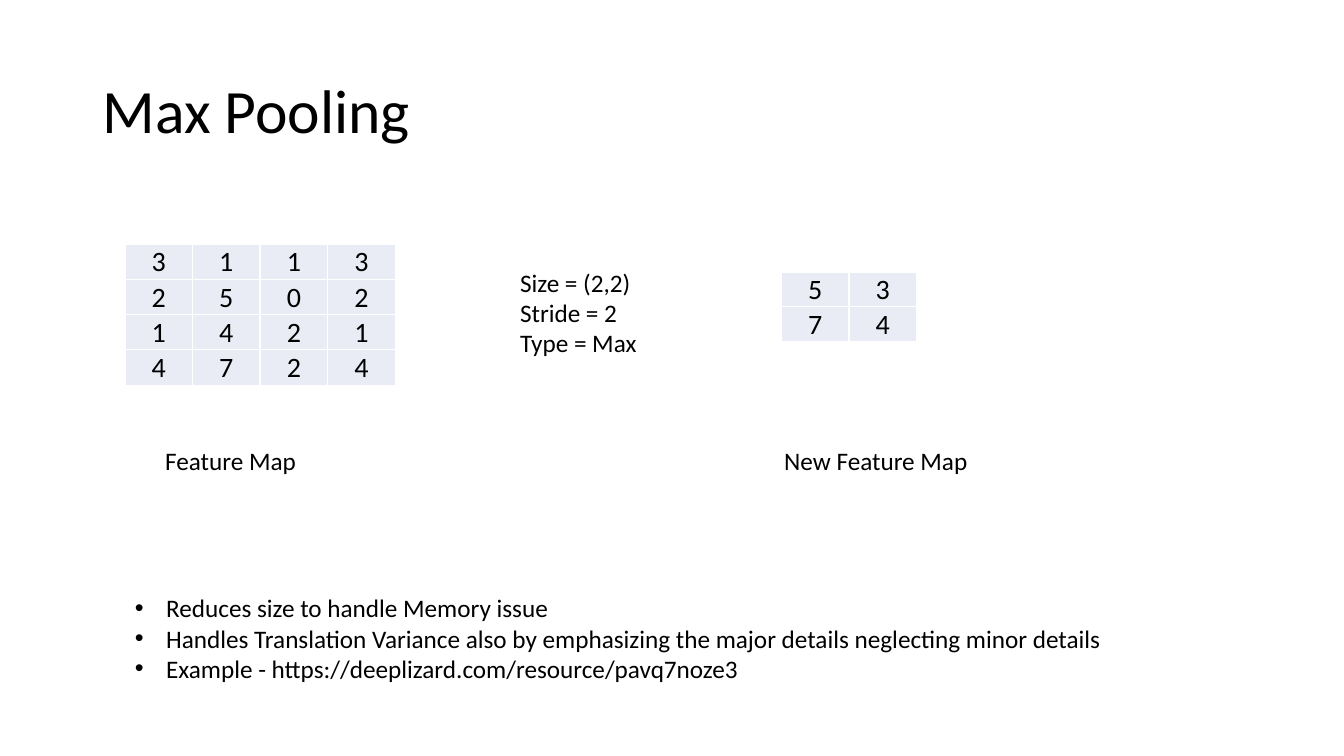
from lxml.etree import SubElement
from pptx import Presentation
from pptx.dml.color import RGBColor
from pptx.enum.text import MSO_ANCHOR, MSO_AUTO_SIZE, PP_ALIGN
from pptx.oxml import parse_xml
from pptx.oxml.ns import nsdecls, qn
from pptx.util import Inches, Pt

FONT = "Calibri"
BLACK = "000000"
WHITE = "FFFFFF"
PALE = "E9EBF5"
CELL = 0.67


def color(value):
    return RGBColor.from_string(value)


def write(frame, text, size=18, align=None, anchor=MSO_ANCHOR.TOP,
          spacing=None, bullet=None, indent=0.31):
    frame.word_wrap = True
    frame.vertical_anchor = anchor
    for i, line in enumerate(text.split("\n")):
        para = frame.paragraphs[0] if i == 0 else frame.add_paragraph()
        if align is not None:
            para.alignment = align
        if spacing:
            para.line_spacing = spacing
        if bullet:
            props = para._p.get_or_add_pPr()
            props.set("marL", str(Inches(indent)))
            props.set("indent", str(-Inches(indent)))
            SubElement(props, qn("a:buFont")).set("typeface", "Arial")
            SubElement(props, qn("a:buChar")).set("char", bullet)
        run = para.add_run()
        run.text = line
        run.font.name = FONT
        run.font.size = Pt(size)
        run.font.color.rgb = color(BLACK)


def add_text(slide, box, text, grow=True, **style):
    frame = slide.shapes.add_textbox(*map(Inches, box)).text_frame
    write(frame, text, **style)
    frame.auto_size = (MSO_AUTO_SIZE.SHAPE_TO_FIT_TEXT if grow
                       else MSO_AUTO_SIZE.NONE)


def add_border(cell):
    props = cell._tc.get_or_add_tcPr()
    for i, side in enumerate(("lnL", "lnR", "lnT", "lnB")):
        props.insert(i, parse_xml(
            f'<a:{side} {nsdecls("a")} w="{Pt(1)}"><a:solidFill>'
            f'<a:srgbClr val="{WHITE}"/></a:solidFill></a:{side}>'))


def add_grid(slide, left, top, height, values):
    rows, cols = len(values), len(values[0])
    table = slide.shapes.add_table(
        rows, cols, Inches(left), Inches(top),
        Inches(cols * CELL), Inches(height)).table
    table.first_row = False
    table.horz_banding = False
    for r, row in enumerate(values):
        for c, value in enumerate(row):
            cell = table.cell(r, c)
            cell.margin_left = cell.margin_right = Inches(0.01)
            cell.margin_top, cell.margin_bottom = Inches(0.01), 0
            cell.fill.solid()
            cell.fill.fore_color.rgb = color(PALE)
            add_border(cell)
            write(cell.text_frame, str(value), size=20, align=PP_ALIGN.CENTER)
            cell.vertical_anchor = MSO_ANCHOR.BOTTOM


def add_map(slide, box, values, label, label_left):
    left, top, height = box
    add_grid(slide, left, top, height, values)
    add_text(slide, (label_left, 4.37, 2.74, 0.4), label)


def add_title(slide, box):
    add_text(slide, box, "Max Pooling", grow=False, size=44,
             anchor=MSO_ANCHOR.MIDDLE, spacing=0.9)


def add_notes(slide, box):
    add_text(slide, box,
             "Reduces size to handle Memory issue\n"
             "Handles Translation Variance also by emphasizing the major "
             "details neglecting minor details\n"
             "Example - https://deeplizard.com/resource/pavq7noze3",
             bullet="•")


def main():
    deck = Presentation()
    deck.slide_width, deck.slide_height = Inches(13.33), Inches(7.5)
    slide = deck.slides.add_slide(deck.slide_layouts[6])
    add_title(slide, (0.92, 0.4, 11.5, 1.45))
    add_map(slide, (1.24, 2.42, 1.36),
            [[3, 1, 1, 3], [2, 5, 0, 2], [1, 4, 2, 1], [4, 7, 2, 4]],
            "Feature Map", 1.54)
    add_text(slide, (5.06, 2.6, 1.96, 1.01),
             "Size = (2,2)\nStride = 2\nType = Max")
    add_map(slide, (7.75, 2.7, 0.68), [[5, 3], [7, 4]],
            "New Feature Map", 7.68)
    add_notes(slide, (1.24, 5.83, 10.44, 1.31))
    deck.save("out.pptx")


if __name__ == "__main__":
    main()
